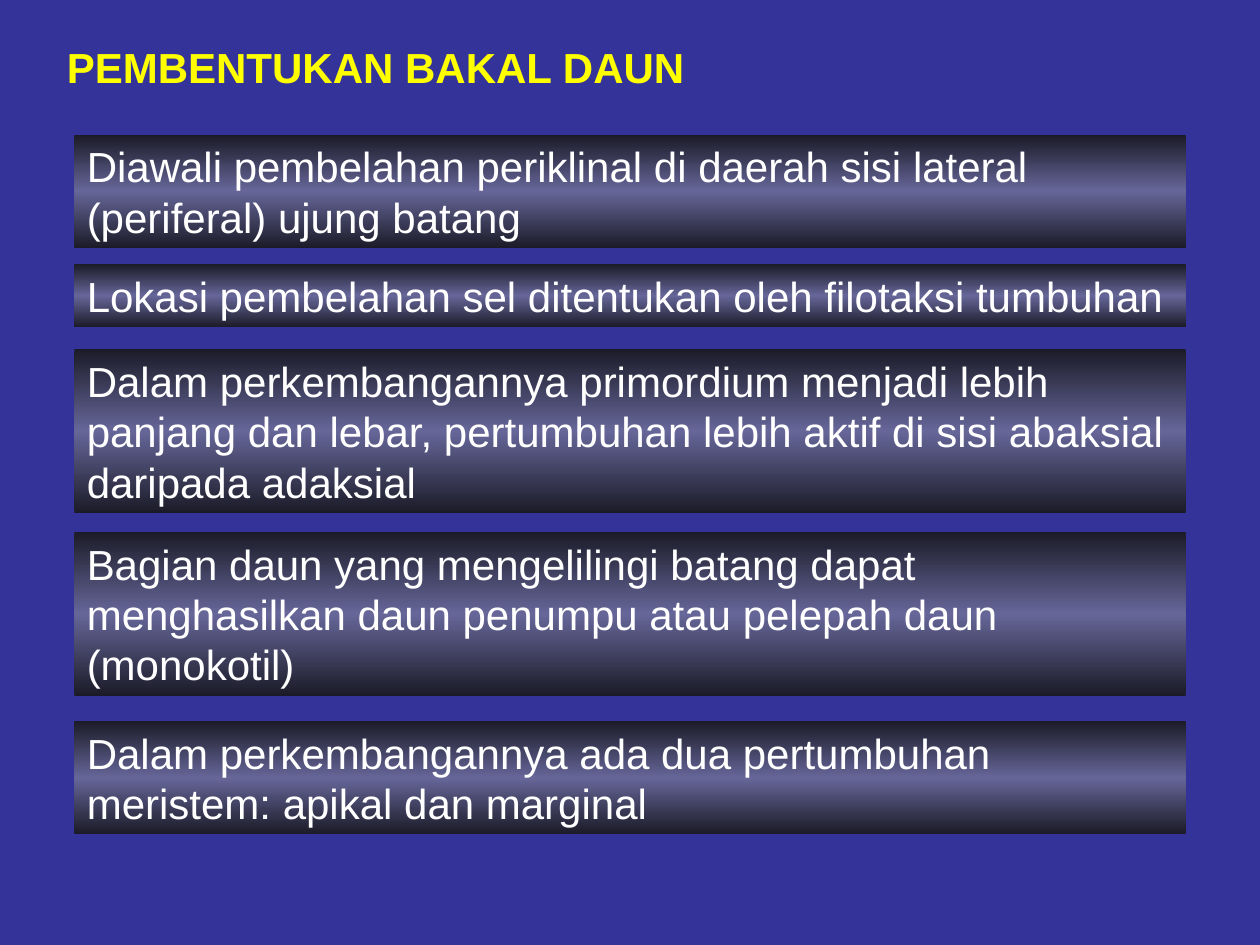
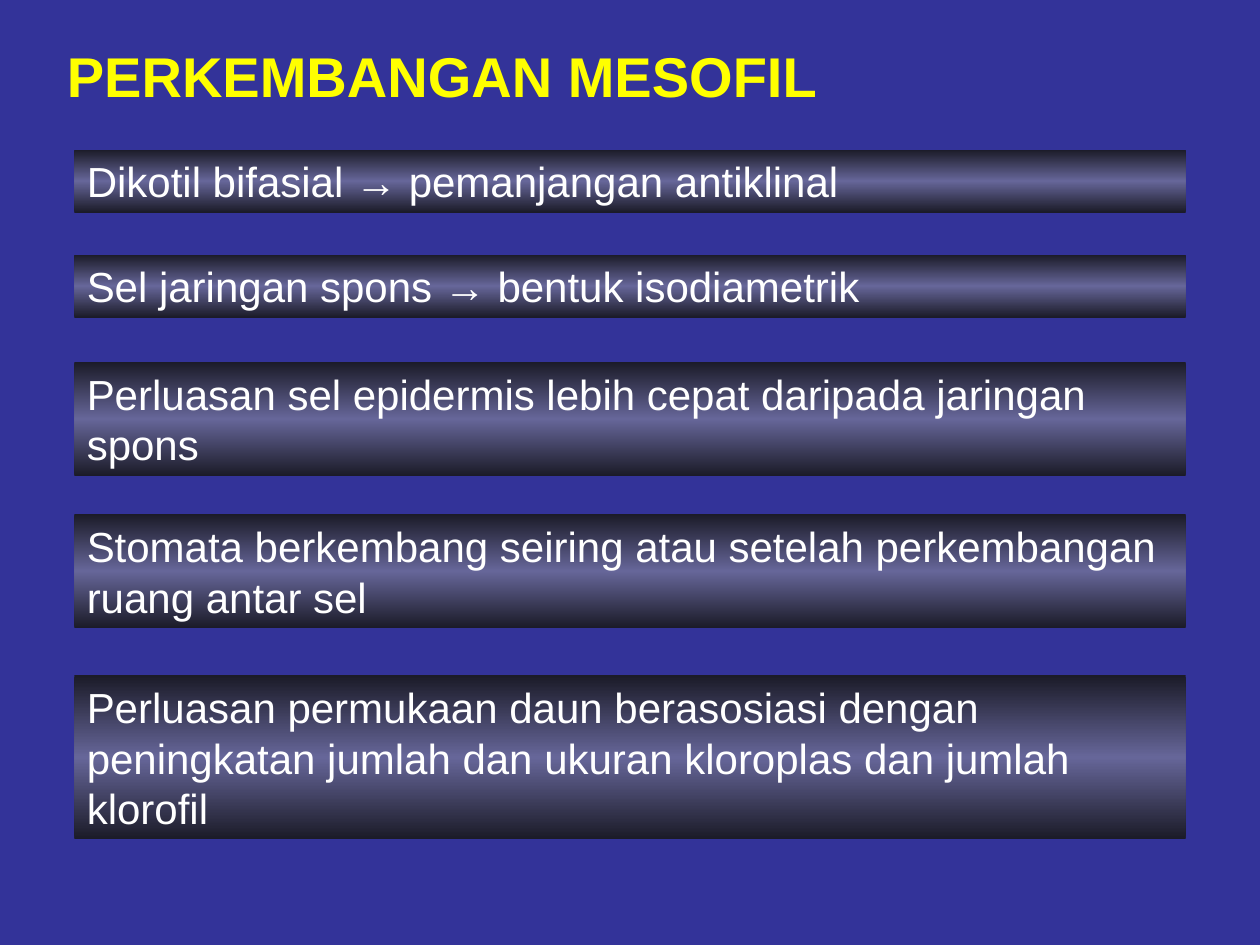
import copy

import pptx
import pptx.dml.color
import pptx.enum.shapes
import pptx.enum.text
import pptx.oxml.ns
import pptx.util

Pt = pptx.util.Pt

# Each statement: top edge in points, number of lines it fills, wording
SLIDES = [
    {
        "title": "PEMBENTUKAN BAKAL DAUN",
        "title_size": 24,
        "title_width": 397,
        "statements": [
            (77, 2, "Diawali pembelahan periklinal di daerah sisi lateral "
                    "(periferal) ujung batang"),
            (151, 1, "Lokasi pembelahan sel ditentukan oleh filotaksi tumbuhan"),
            (199.5, 3, "Dalam perkembangannya primordium menjadi lebih panjang "
                       "dan lebar, pertumbuhan lebih aktif di sisi abaksial "
                       "daripada adaksial"),
            (304, 3, "Bagian daun yang mengelilingi batang dapat menghasilkan "
                     "daun penumpu atau pelepah daun (monokotil)"),
            (412, 2, "Dalam perkembangannya ada dua pertumbuhan meristem: "
                     "apikal dan marginal"),
        ],
    },
    {
        "title": "PERKEMBANGAN MESOFIL",
        "title_size": 32,
        "title_width": 465,
        "statements": [
            (85.5, 1, "Dikotil bifasial → pemanjangan antiklinal"),
            (145.5, 1, "Sel jaringan spons → bentuk isodiametrik"),
            (207, 2, "Perluasan sel epidermis lebih cepat daripada jaringan spons"),
            (294, 2, "Stomata berkembang seiring atau setelah perkembangan "
                     "ruang antar sel"),
            (386, 3, "Perluasan permukaan daun berasosiasi dengan peningkatan "
                     "jumlah dan ukuran kloroplas dan jumlah klorofil"),
        ],
    },
]

FONT = "Arial"
BACKGROUND = "333399"
TITLE_COLOUR = "FFFF00"
STATEMENT_COLOUR = "FFFFFF"
BAND_GRADIENT = [(0, "1B1B28"), (0.5, "666699"), (1, "1B1B28")]

SLIDE_WIDTH, SLIDE_HEIGHT = 720, 540
TITLE_LEFT, TITLE_TOP = 31, 20
BAND_LEFT = 42.5
BAND_WIDTH = SLIDE_WIDTH - 2 * BAND_LEFT
STATEMENT_SIZE = 24
LINE_FACTOR = 1.2
SIDE_INSET, EDGE_INSET = 7.2, 3.6


def colour(hex_code):
    return pptx.dml.color.RGBColor.from_string(hex_code)


def box_height(size, lines=1):
    return lines * size * LINE_FACTOR + 2 * EDGE_INSET


def place(shape, left, top, width, height):
    shape.left, shape.top = Pt(left), Pt(top)
    shape.width, shape.height = Pt(width), Pt(height)


def write(shape, wording, size, hex_code, bold=False):
    frame = shape.text_frame
    frame.text = wording
    frame.word_wrap = True
    frame.auto_size = pptx.enum.text.MSO_AUTO_SIZE.NONE
    frame.vertical_anchor = pptx.enum.text.MSO_ANCHOR.TOP
    frame.margin_left = frame.margin_right = Pt(SIDE_INSET)
    frame.margin_top = frame.margin_bottom = Pt(EDGE_INSET)
    paragraph = frame.paragraphs[0]
    paragraph.alignment = pptx.enum.text.PP_ALIGN.LEFT
    paragraph.space_before = Pt(0)
    paragraph.line_spacing = Pt(size * LINE_FACTOR)
    font = paragraph.runs[0].font
    font.name, font.size, font.bold = FONT, Pt(size), bold
    font.color.rgb = colour(hex_code)


def fill_with_gradient(shape):
    """Fill from top to bottom with the stops of BAND_GRADIENT."""
    shape.fill.gradient()
    shape.fill.gradient_angle = 270
    stop_list = next(shape._element.iter(pptx.oxml.ns.qn("a:gsLst")))
    stop_list.append(copy.deepcopy(stop_list[0]))
    for stop, (position, hex_code) in zip(shape.fill.gradient_stops, BAND_GRADIENT):
        stop.position = position
        stop.color.rgb = colour(hex_code)


def add_band(slide, top, lines, statement):
    band = slide.shapes.add_shape(
        pptx.enum.shapes.MSO_SHAPE.RECTANGLE, Pt(BAND_LEFT), Pt(top),
        Pt(BAND_WIDTH), Pt(box_height(STATEMENT_SIZE, lines)))
    band.shadow.inherit = False
    band.line.fill.background()
    fill_with_gradient(band)
    write(band, statement, STATEMENT_SIZE, STATEMENT_COLOUR)


def add_slide(deck, content):
    slide = deck.slides.add_slide(deck.slide_layouts.get_by_name("Title Only"))
    title = slide.shapes.title
    size = content["title_size"]
    place(title, TITLE_LEFT, TITLE_TOP, content["title_width"], box_height(size))
    write(title, content["title"], size, TITLE_COLOUR, bold=True)
    for top, lines, statement in content["statements"]:
        add_band(slide, top, lines, statement)


def main():
    deck = pptx.Presentation()
    deck.slide_width, deck.slide_height = Pt(SLIDE_WIDTH), Pt(SLIDE_HEIGHT)
    backdrop = deck.slide_master.background.fill
    backdrop.solid()
    backdrop.fore_color.rgb = colour(BACKGROUND)
    for content in SLIDES:
        add_slide(deck, content)
    deck.save("out.pptx")


if __name__ == "__main__":
    main()
